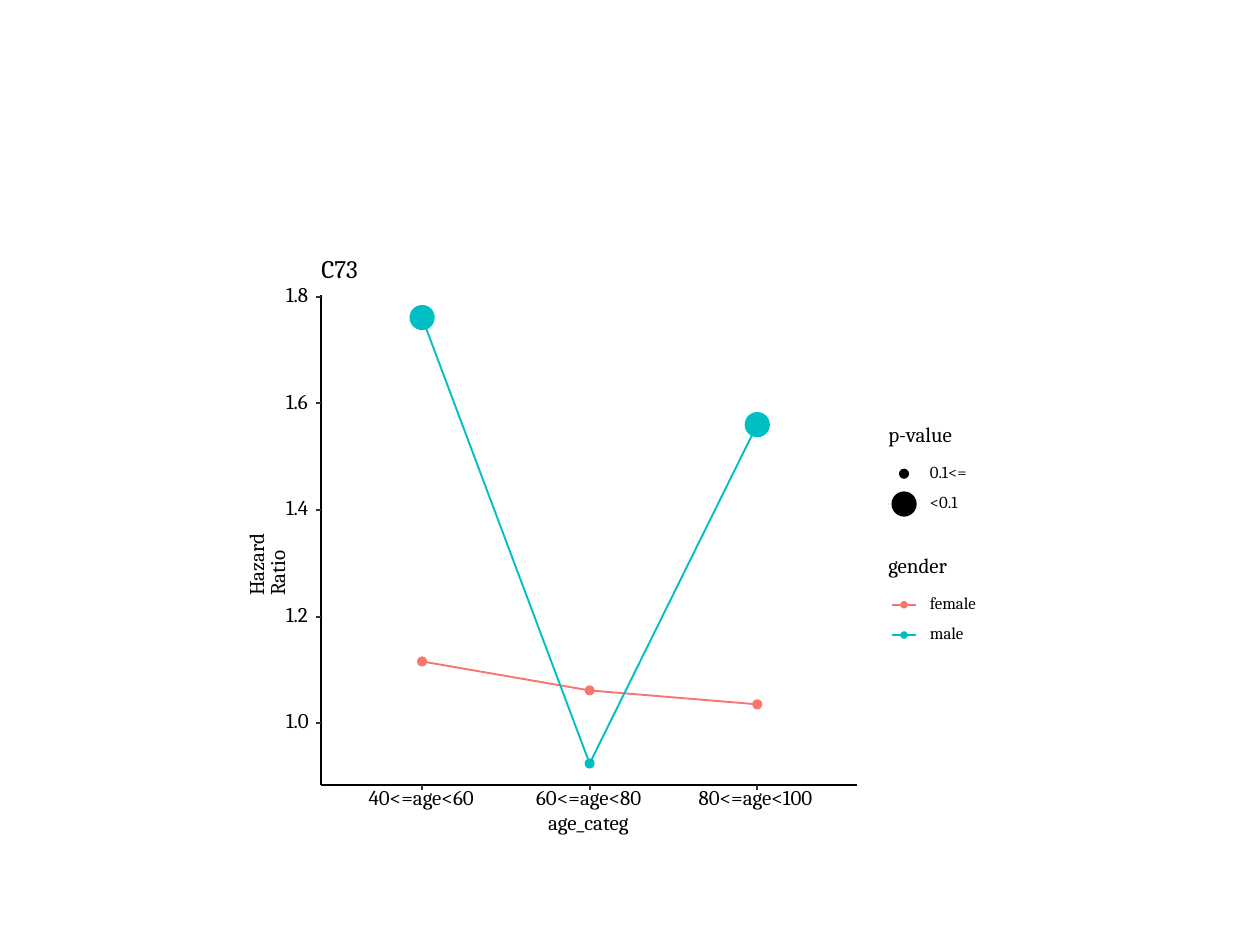
from dataclasses import dataclass

import pptx
import pptx.dml.color
import pptx.enum.shapes
import pptx.enum.text
import pptx.oxml.ns
import pptx.util

Inches = pptx.util.Inches
Pt = pptx.util.Pt
SHAPE = pptx.enum.shapes.MSO_SHAPE


@dataclass(frozen=True)
class Theme:
    font: str = "Cambria"
    black: str = "000000"
    white: str = "FFFFFF"
    tick: str = "333333"
    female: str = "F8766D"
    male: str = "00BFC4"
    title: float = 14.4
    body: float = 12
    small: float = 9.6
    line: float = 1.07
    tick_line: float = 1.16
    outline: float = 0.71
    dot: float = 0.07
    big_dot: float = 0.19
    key_dot: float = 0.05


THEME = Theme()


@dataclass(frozen=True)
class Box:
    left: float
    top: float
    width: float
    height: float


@dataclass(frozen=True)
class Gender:
    name: str
    color: str
    heights: tuple[float, ...]
    dots: tuple[float, ...]
    label_width: float


@dataclass(frozen=True)
class Key:
    label: str
    color: str
    dot: float
    lined: bool
    label_width: float


@dataclass(frozen=True)
class Legend:
    title: str
    title_width: float
    panel: Box
    keys: tuple[Key, ...]


GENDERS = (
    Gender("female", THEME.female, (5.25, 5.48, 5.59), (THEME.dot,) * 3, 0.38),
    Gender("male", THEME.male, (2.52, 6.06, 3.37),
           (THEME.big_dot, THEME.dot, THEME.big_dot), 0.28),
)
LEGENDS = (
    Legend("p-value", 0.52, Box(6.97, 3.33, 0.81, 0.88),
           (Key("0.1<=", THEME.black, THEME.dot, False, 0.34),
            Key("<0.1", THEME.black, THEME.big_dot, False, 0.26))),
    Legend("gender", 0.47, Box(6.97, 4.37, 0.85, 0.88),
           tuple(Key(g.name, g.color, THEME.key_dot, True, g.label_width)
                 for g in GENDERS)),
)
AGES = (("40<=age<60", 0.85), ("60<=age<80", 0.85), ("80<=age<100", 0.93))
RATIOS = (1.0, 1.2, 1.4, 1.6, 1.8)
FRAME = Box(2, 2, 5.91, 4.72)
PLOT = Box(2.55, 2.34, 4.25, 3.89)
PLOT_BOTTOM = PLOT.top + PLOT.height
TICK = 0.04


def age_x(index: int) -> float:
    return 3.35 + 1.33 * index


def ratio_y(ratio: float) -> float:
    return 5.74 - 4.23 * (ratio - 1)


def rgb(color: str) -> pptx.dml.color.RGBColor:
    return pptx.dml.color.RGBColor.from_string(color)


def style_line(line, color: str, width: float) -> None:
    line.color.rgb = rgb(color)
    line.width = Pt(width)


def add_filled(slide, kind, box: Box, color: str, outline: float = 0) -> None:
    shape = slide.shapes.add_shape(
        kind, *map(Inches, (box.left, box.top, box.width, box.height)))
    shape.shadow.inherit = False
    shape.fill.solid()
    shape.fill.fore_color.rgb = rgb(color)
    if outline:
        style_line(shape.line, color, outline)
    else:
        shape.line.fill.background()


def add_dot(slide, x: float, y: float, size: float, color: str) -> None:
    box = Box(x - size / 2, y - size / 2, size, size)
    add_filled(slide, SHAPE.OVAL, box, color, THEME.outline)


def add_stroke(slide, start: tuple[float, float], end: tuple[float, float],
               color: str, width: float) -> None:
    stroke = slide.shapes.add_connector(
        pptx.enum.shapes.MSO_CONNECTOR.STRAIGHT, *map(Inches, (*start, *end)))
    style_line(stroke.line, color, width)
    properties = stroke._element.spPr
    properties.append(properties.makeelement(pptx.oxml.ns.qn("a:effectLst")))


def add_label(slide, text: str, box: Box, size: float, rotation: float = 0) -> None:
    label = slide.shapes.add_textbox(
        *map(Inches, (box.left, box.top, box.width, box.height)))
    label.rotation = rotation
    frame = label.text_frame
    frame.margin_left = frame.margin_right = frame.margin_top = frame.margin_bottom = 0
    frame.word_wrap = False
    frame.vertical_anchor = pptx.enum.text.MSO_ANCHOR.MIDDLE
    frame.text = text
    paragraph = frame.paragraphs[0]
    paragraph.line_spacing = Pt(size)
    font = paragraph.runs[0].font
    font.name, font.size = THEME.font, Pt(size)
    font.color.rgb = rgb(THEME.black)


def add_trend(slide, gender: Gender) -> None:
    points = [(Inches(age_x(i)), Inches(y)) for i, y in enumerate(gender.heights)]
    builder = slide.shapes.build_freeform(*points[0])
    builder.add_line_segments(points[1:], close=False)
    trend = builder.convert_to_shape()
    trend.shadow.inherit = False
    trend.fill.background()
    style_line(trend.line, gender.color, THEME.line)


def add_ratio_axis(slide) -> None:
    add_stroke(slide, (PLOT.left, PLOT_BOTTOM), (PLOT.left, PLOT.top),
               THEME.black, THEME.line)
    for ratio in RATIOS:
        y = ratio_y(ratio)
        add_label(slide, f"{ratio:.1f}", Box(2.27, y - 0.06, 0.21, 0.11), THEME.body)
        add_stroke(slide, (PLOT.left - TICK, y), (PLOT.left, y),
                   THEME.tick, THEME.tick_line)
    add_label(slide, "Hazard Ratio", Box(1.69, 4.23, 0.88, 0.12), THEME.body, 270)


def add_age_axis(slide) -> None:
    add_stroke(slide, (PLOT.left, PLOT_BOTTOM), (PLOT.left + PLOT.width, PLOT_BOTTOM),
               THEME.black, THEME.line)
    for index, (age, width) in enumerate(AGES):
        x = age_x(index)
        add_stroke(slide, (x, PLOT_BOTTOM + TICK), (x, PLOT_BOTTOM),
                   THEME.tick, THEME.tick_line)
        add_label(slide, age, Box(x - width / 2, 6.27, width, 0.15), THEME.body)
    add_label(slide, "age_categ", Box(4.35, 6.47, 0.67, 0.14), THEME.body)


def add_key(slide, key: Key, middle: float) -> None:
    left, right = 7.08, 7.27
    if key.lined:
        add_stroke(slide, (left, middle), (right, middle), key.color, THEME.line)
    add_dot(slide, (left + right) / 2, middle, key.dot, key.color)
    add_label(slide, key.label, Box(7.38, middle - 0.05, key.label_width, 0.09),
              THEME.small)


def add_legend(slide, legend: Legend) -> None:
    panel = legend.panel
    add_filled(slide, SHAPE.RECTANGLE, panel, THEME.white)
    add_label(slide, legend.title,
              Box(panel.left + 0.08, panel.top + 0.06, legend.title_width, 0.15),
              THEME.body)
    for row, key in enumerate(legend.keys):
        add_key(slide, key, panel.top + 0.43 + 0.24 * row)


def main() -> None:
    deck = pptx.Presentation()
    deck.slide_width, deck.slide_height = Inches(10), Inches(7.5)
    slide = deck.slides.add_slide(deck.slide_layouts[6])

    # Background panels
    add_filled(slide, SHAPE.RECTANGLE, FRAME, THEME.white, THEME.tick_line)
    add_filled(slide, SHAPE.RECTANGLE, PLOT, THEME.white)

    # Trends, with larger dots where the p-value is below 0.1
    for gender in GENDERS:
        add_trend(slide, gender)
    for gender in GENDERS:
        for index, (y, size) in enumerate(zip(gender.heights, gender.dots)):
            add_dot(slide, age_x(index), y, size, gender.color)

    # Axes, legends and title
    add_ratio_axis(slide)
    add_age_axis(slide)
    for legend in LEGENDS:
        add_legend(slide, legend)
    add_label(slide, "C73", Box(2.55, 2.08, 0.33, 0.14), THEME.title)
    deck.save("out.pptx")


if __name__ == "__main__":
    main()
